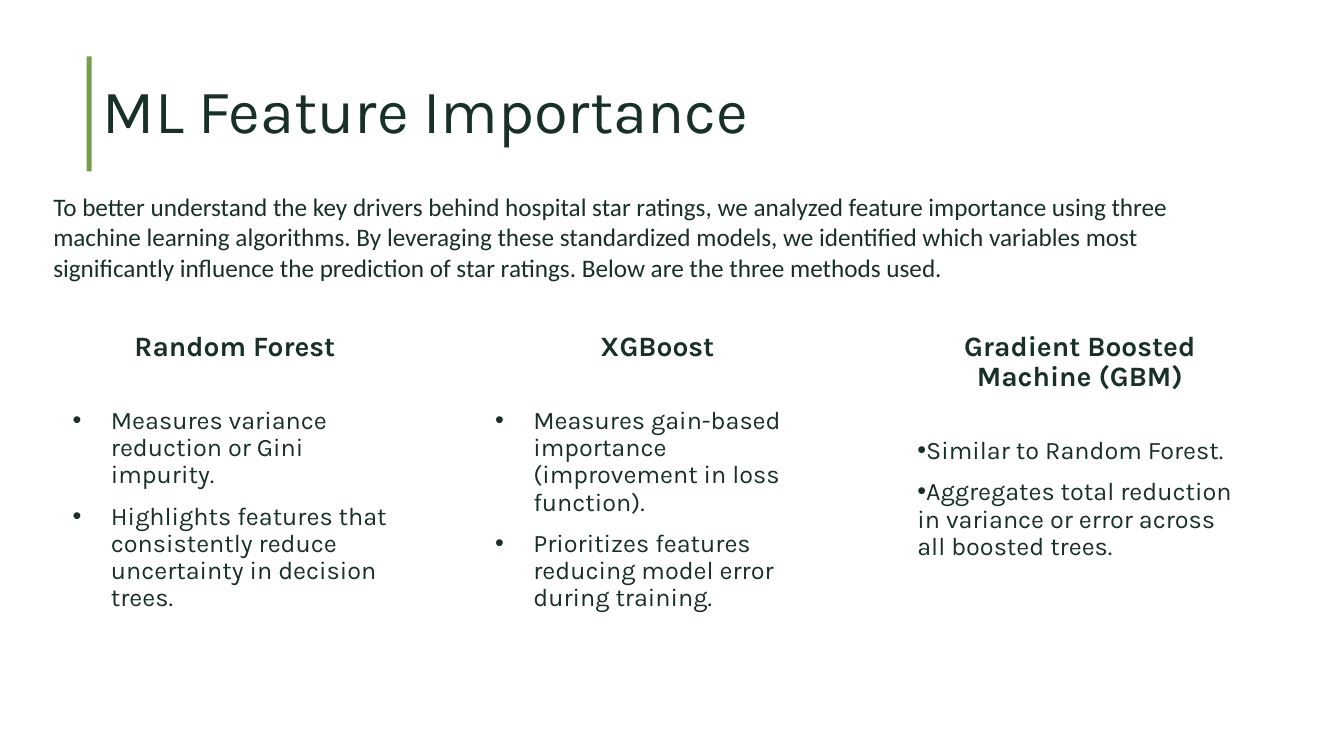
import lxml.etree
import pptx
import pptx.dml.color
import pptx.enum.shapes
import pptx.enum.text
import pptx.oxml.ns
import pptx.util

INK = pptx.dml.color.RGBColor(0x18, 0x30, 0x28)
GREEN = pptx.dml.color.RGBColor(0x78, 0x9D, 0x4A)
WHITE = pptx.dml.color.RGBColor(0xFF, 0xFF, 0xFF)
PX = 9144
Pt = pptx.util.Pt
qn = pptx.oxml.ns.qn
ALIGN = pptx.enum.text.PP_ALIGN
FIT = pptx.enum.text.MSO_AUTO_SIZE


def place(shape, left, top, width, height):
    shape.left, shape.top = left * PX, top * PX
    shape.width, shape.height = width * PX, height * PX


def style(para, size, face="Karla", bold=False):
    para.font.size = Pt(size)
    para.font.name = face
    para.font.bold = bold
    para.font.color.rgb = INK


deck = pptx.Presentation()
deck.slide_width, deck.slide_height = 1333 * PX, 750 * PX
slide = deck.slides.add_slide(deck.slide_layouts[3])
shapes = slide.shapes

bar = shapes.add_shape(pptx.enum.shapes.MSO_SHAPE.RECTANGLE, 0, 0, 0, 0)
place(bar, 86, 56, 5, 114)
bar.shadow.inherit = False
bar.fill.solid()
bar.fill.fore_color.rgb = GREEN
bar.line.fill.background()

title = shapes.title
place(title, 92, 40, 1150, 145)
frame = title.text_frame
frame.text = "ML Feature Importance"
frame.auto_size = FIT.NONE
frame.vertical_anchor = pptx.enum.text.MSO_ANCHOR.MIDDLE
head = frame.paragraphs[0]
head.alignment = ALIGN.LEFT
head.line_spacing = 0.9
style(head, 44)

models = [
    ("Random Forest", 38, slide.placeholders[1], [
        "Measures variance reduction or Gini impurity.",
        "Highlights features that consistently reduce uncertainty in decision trees.",
    ]),
    ("XGBoost", 38, slide.placeholders[2], [
        "Measures gain-based importance (improvement in loss function).",
        "Prioritizes features reducing model error during training.",
    ]),
    ("Gradient Boosted Machine (GBM)", 0, shapes.add_textbox(0, 0, 0, 0), [
        "Similar to Random Forest.",
        "Aggregates total reduction in variance or error across all boosted trees.",
    ]),
]
for col, (name, indent, box, points) in enumerate(models):
    place(box, 62 + 419 * col, 325, 342, 284)
    box.fill.solid()
    box.fill.fore_color.rgb = WHITE
    if col > 0:
        tint = box.fill._xPr.find(".//" + qn("a:srgbClr"))
        lxml.etree.SubElement(tint, qn("a:alpha"), val="50000")
    frame = box.text_frame
    frame.word_wrap = True
    frame.auto_size = FIT.NONE
    frame.text = "\n".join([name] + points)
    for row, para in enumerate(frame.paragraphs):
        props = para._p.get_or_add_pPr()
        inset = indent * PX if row else 0
        props.set("marL", str(inset))
        props.set("indent", str(-inset))
        if row:
            font = lxml.etree.SubElement(props, qn("a:buFont"))
            font.set("typeface", "Arial")
            lxml.etree.SubElement(props, qn("a:buChar"), char="•")
        else:
            lxml.etree.SubElement(props, qn("a:buNone"))
        para.alignment = ALIGN.LEFT if row else ALIGN.CENTER
        para.line_spacing = 0.9
        para.space_before = Pt(32 if row == 1 else 10)
        style(para, 18 if row else 20, bold=row == 0)

intro = shapes.add_textbox(0, 0, 0, 0)
place(intro, 43, 185, 1198, 101)
frame = intro.text_frame
frame.word_wrap = True
frame.auto_size = FIT.SHAPE_TO_FIT_TEXT
frame.text = (
    "To better understand the key drivers behind hospital star ratings, "
    "we analyzed feature importance using three machine learning algorithms. "
    "By leveraging these standardized models, we identified which variables "
    "most significantly influence the prediction of star ratings. "
    "Below are the three methods used."
)
style(frame.paragraphs[0], 18, "Calibri")

deck.save("out.pptx")
